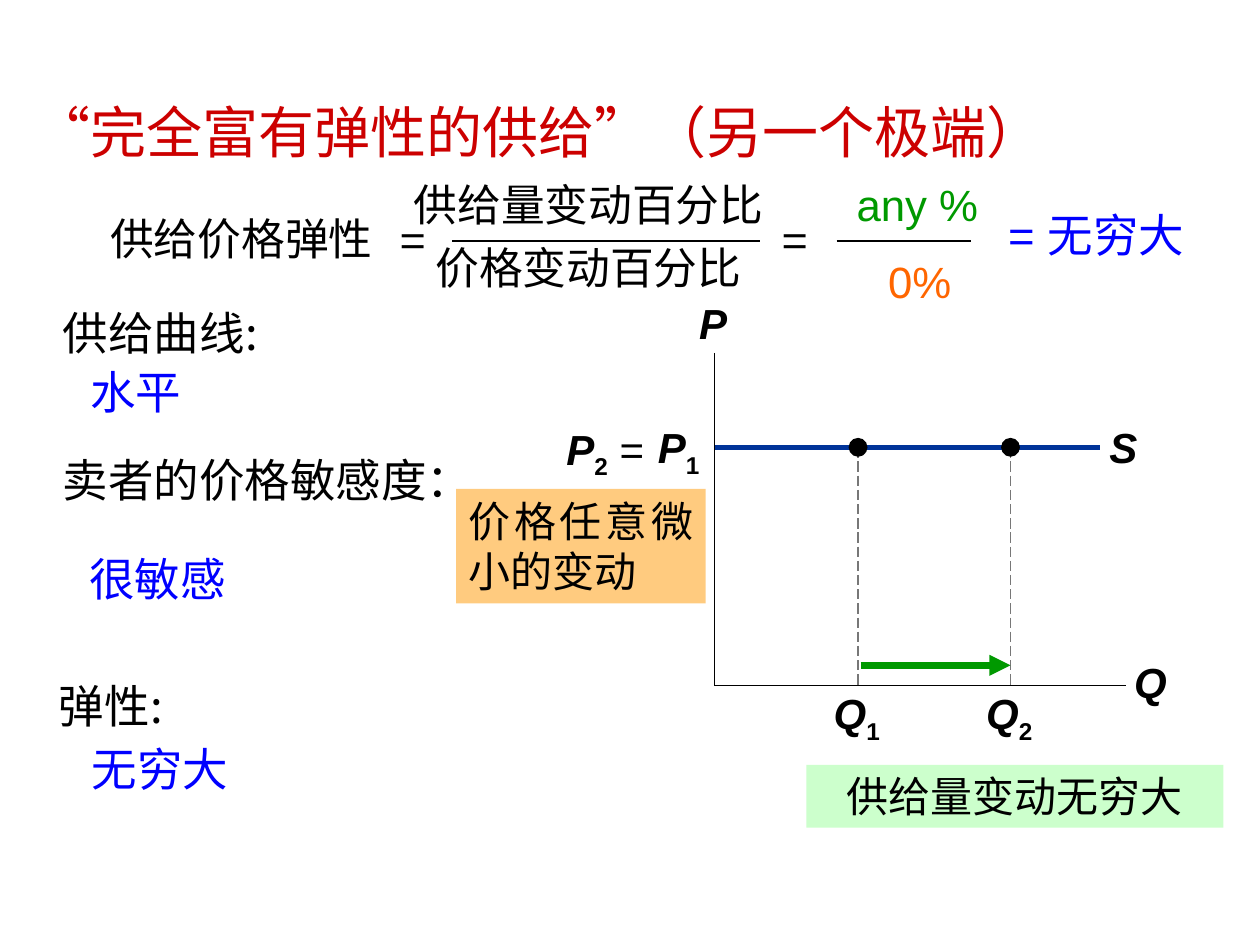
from dataclasses import dataclass
from typing import Optional

from pptx import Presentation
from pptx import util as u
from pptx.dml.color import RGBColor
from pptx.enum import dml, shapes, text
from pptx.oxml.ns import qn
from lxml import etree

ARIAL, NOTO = "Arial", "Noto Sans CJK SC"
BLACK, BLUE, GREEN, RED = "000000", "0000FF", "009900", "CC0000"
LEFT, CENTER = text.PP_ALIGN.LEFT, text.PP_ALIGN.CENTER
RIGHT, JUSTIFY = text.PP_ALIGN.RIGHT, text.PP_ALIGN.JUSTIFY
COLUMNS, ROWS = 100, 75

presentation = Presentation()
presentation.slide_width, presentation.slide_height = u.Inches(10), u.Inches(7.5)
slide = presentation.slides.add_slide(presentation.slide_layouts[5])


@dataclass
class Label:
    """Text in a box; the box is left, top, width, height in grid cells."""
    box: tuple
    words: str
    size: float = 26
    color: str = BLACK
    font: str = NOTO
    align: text.PP_ALIGN = CENTER
    spacing: float = 1.0
    fill: Optional[str] = None
    opacity: int = 100


@dataclass
class Symbol:
    """Bold italic letter with an optional subscript and a plain ending."""
    box: tuple
    letter: str
    subscript: str = ""
    ending: str = ""
    align: text.PP_ALIGN = CENTER


@dataclass
class Line:
    start: tuple
    end: tuple
    color: str = BLACK
    width: float = 1
    dashed: bool = False
    arrow: bool = False


def x(columns: float) -> int:
    return round(presentation.slide_width * columns / COLUMNS)


def y(rows: float) -> int:
    return round(presentation.slide_height * rows / ROWS)


def place(box: tuple) -> tuple:
    left, top, width, height = box
    return x(left), y(top), x(width), y(height)


def color_of(value: str) -> RGBColor:
    return RGBColor.from_string(value)


def paint(shape, color: str, opacity: int = 100) -> None:
    shape.fill.solid()
    shape.fill.fore_color.rgb = color_of(color)
    if opacity < 100:
        node = shape.fill._xPr.find(".//" + qn("a:srgbClr"))
        etree.SubElement(node, qn("a:alpha"), val=str(opacity * 1000))
    shape.line.fill.background()
    shape.shadow.inherit = False


def add_run(paragraph, words: str, color: str, font: str, **formats) -> None:
    run = paragraph.add_run()
    run.text = words
    run.font.color.rgb = color_of(color)
    for name, value in {"name": font, **formats}.items():
        setattr(run.font, name, value)
    properties = run.font._element
    properties.set("lang", "zh-CN")
    latin = properties.find(qn("a:latin"))
    latin.addnext(latin.makeelement(qn("a:ea"), {"typeface": NOTO}))


def prepare(shape, anchor=text.MSO_ANCHOR.TOP):
    frame = shape.text_frame
    formats = {"word_wrap": True, "auto_size": text.MSO_AUTO_SIZE.NONE,
               "vertical_anchor": anchor}
    for name, value in formats.items():
        setattr(frame, name, value)
    return frame


def add_label(label: Label) -> None:
    if label.fill:
        shape = slide.shapes.add_shape(shapes.MSO_SHAPE.RECTANGLE, *place(label.box))
        paint(shape, label.fill, label.opacity)
    else:
        shape = slide.shapes.add_textbox(*place(label.box))
    frame = prepare(shape)
    for index, words in enumerate(label.words.split("\n")):
        paragraph = frame.add_paragraph() if index else frame.paragraphs[0]
        paragraph.alignment = label.align
        paragraph.line_spacing = label.spacing
        if index:
            paragraph.space_before = u.Pt(6)
        add_run(paragraph, words, label.color, label.font, size=u.Pt(label.size))


def add_symbol(symbol: Symbol) -> None:
    paragraph = prepare(slide.shapes.add_textbox(*place(symbol.box))).paragraphs[0]
    paragraph.alignment = symbol.align
    size = u.Pt(24)
    add_run(paragraph, symbol.letter, BLACK, ARIAL, size=size, bold=True, italic=True)
    if symbol.subscript:
        add_run(paragraph, symbol.subscript, BLACK, ARIAL, size=size, bold=True)
        paragraph.runs[-1].font._element.set("baseline", "-25000")
    if symbol.ending:
        add_run(paragraph, symbol.ending, BLACK, ARIAL, size=size)


def add_line(line: Line) -> None:
    connector = slide.shapes.add_connector(
        shapes.MSO_CONNECTOR.STRAIGHT, x(line.start[0]), y(line.start[1]),
        x(line.end[0]), y(line.end[1]))
    connector.line.color.rgb = color_of(line.color)
    connector.line.width = u.Pt(line.width)
    if line.dashed:
        connector.line.dash_style = dml.MSO_LINE.LONG_DASH
    if line.arrow:
        etree.SubElement(connector.line._get_or_add_ln(), qn("a:tailEnd"), type="triangle")
    etree.SubElement(connector._element.spPr, qn("a:effectLst"))


def add_dot(column: float, row: float, size: float = 1.5) -> None:
    box = (column - size / 2, row - size / 2, size, size)
    paint(slide.shapes.add_shape(shapes.MSO_SHAPE.OVAL, *place(box)), BLACK)


# Title
title = slide.shapes.title
title.left, title.top, title.width, title.height = place((1.7, 7, 92.9, 6.8))
heading = prepare(title, text.MSO_ANCHOR.MIDDLE).paragraphs[0]
heading.alignment = LEFT
add_run(heading, "“完全富有弹性的供给”（另一个极端）", RED, NOTO, size=u.Pt(32))

# Supply curve, axes and quantities
SUPPLY, ORIGIN_X, ORIGIN_Y = 35.5, 56.7, 54.4
QUANTITIES = {"1": 68.1, "2": 80.2}
add_line(Line((ORIGIN_X, SUPPLY), (87.3, SUPPLY), "003399", 3))
add_line(Line((ORIGIN_X, 28), (ORIGIN_X, ORIGIN_Y)))
add_line(Line((ORIGIN_X, ORIGIN_Y), (89.4, ORIGIN_Y)))
for number, column in QUANTITIES.items():
    add_line(Line((column, SUPPLY), (column, ORIGIN_Y), "777777", 0.75, dashed=True))
    add_dot(column, SUPPLY)
    add_symbol(Symbol((column - 3.3, 54.1, 6.4, 5), "Q", number))
add_line(Line((68.3, 52.8), (80.2, 52.8), GREEN, 4, arrow=True))

for symbol in (
    Symbol((85.9, 33, 6.5, 5), "S"),
    Symbol((52.8, 23.1, 7.6, 5), "P"),
    Symbol((87.5, 51.6, 7.6, 5), "Q"),
    Symbol((49.4, 33, 7.1, 5), "P", "1", align=RIGHT),
    Symbol((43.2, 33.1, 8.9, 5), "P", "2", " =", align=RIGHT),
):
    add_symbol(symbol)

# Elasticity formula
for start, end in ((35.9, 60.3), (66.4, 77.1)):
    add_line(Line((start, 19.1), (end, 19.1)))
for left in (30.3, 60.6):
    add_label(Label((left, 16.4, 5, 5.3), "="))
for label in (
    Label((6.7, 16.6, 24.9, 5), "供给价格弹性", 25, spacing=0.95),
    Label((29.2, 13.6, 35, 11.5), "供给量变动百分比\n价格变动百分比", 25),
    Label((66.4, 13.6, 12.8, 5.2), "any %", 25, GREEN, ARIAL),
    Label((66.6, 19.7, 12.8, 5.2), "0%", 25, "FF6600", ARIAL),
    Label((78.9, 15.9, 16.2, 5.3), "= 无穷大", 26, BLUE, ARIAL),
    # Notes beside the diagram
    Label((64, 60.7, 33.1, 5), "供给量变动无穷大", 24, fill="CCFFCC"),
    Label((36.2, 38.8, 19.8, 9.1), "价格任意微小的变动", 24, align=JUSTIFY,
          fill="FF9900", opacity=50),
):
    add_label(label)

# Properties and their answers
for box, words, color in (
    ((4, 23.5, 27.3, 5.8), "供给曲线:", BLACK),
    ((6.2, 28.2, 31.7, 5.8), "水平", BLUE),
    ((4, 35.2, 37.1, 10.6), "卖者的价格敏感度：", BLACK),
    ((6.1, 43, 28.7, 5.4), "很敏感", BLUE),
    ((3.7, 53.1, 17.7, 5.9), "弹性:", BLACK),
    ((6.3, 58.1, 20, 5.9), "无穷大", BLUE),
):
    add_label(Label(box, words, color=color, align=LEFT, spacing=1.05))

presentation.save("out.pptx")
